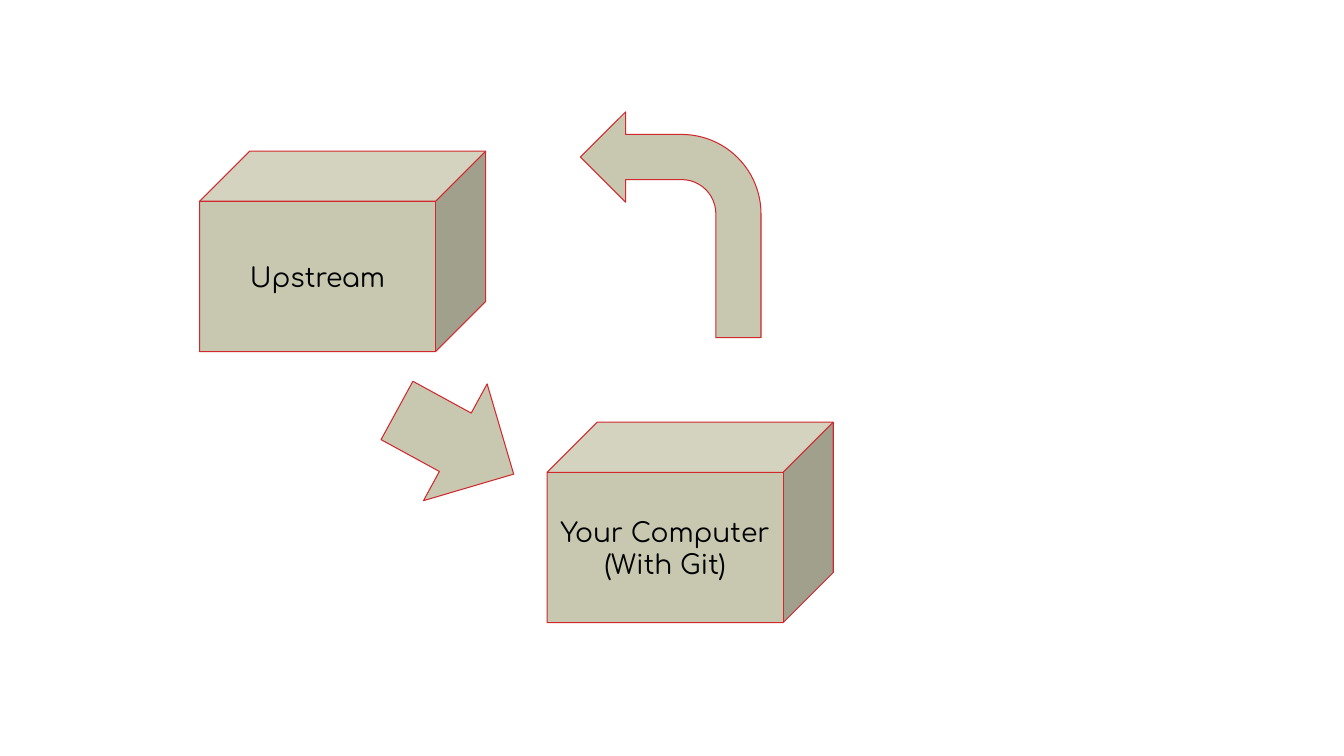
"""Build a slide showing the exchange between an upstream store and a local computer."""
from pptx import Presentation
from pptx.dml.color import RGBColor
from pptx.enum import shapes, text
from pptx.util import Cm, Pt

COLORS = {"fill": "C8C8B1", "line": "D1282E", "text": "000000"}
FONT = {"name": "Comfortaa", "size": Pt(19)}
FRAME = {
    "word_wrap": True,
    "vertical_anchor": text.MSO_ANCHOR.MIDDLE,
    **{f"margin_{side}": Cm(0.33) for side in ("left", "top", "right", "bottom")},
}
CUBE_SIZE = (7.21, 5.05)
CUBES = [
    ((5.03, 3.81), ["Upstream"]),
    ((13.79, 10.64), ["Your Computer", "(With Git)"]),
]
ARROWS = [
    {"kind": shapes.MSO_SHAPE.RIGHT_ARROW, "box": (9.8, 9.47, 3.35, 3.35),
     "adj": (0.5, 0.5), "rotation": 28.6, "flip": False},
    {"kind": shapes.MSO_SHAPE.BENT_ARROW, "box": (14.63, 2.82, 4.55, 5.69),
     "adj": (0.25, 0.25, 0.25, 0.44), "rotation": 0, "flip": True},
]


def color(key):
    return RGBColor.from_string(COLORS[key])


def set_all(obj, values):
    for name, value in values.items():
        setattr(obj, name, value)


def add_shape(s, kind, box, adj):
    sp = s.shapes.add_shape(kind, *map(Cm, box))
    sp.shadow.inherit = False
    sp.fill.solid()
    sp.fill.fore_color.rgb = color("fill")
    sp.line.color.rgb = color("line")
    sp.line.width = Pt(0.75)
    for i, value in enumerate(adj):
        sp.adjustments[i] = value
    return sp


def write_lines(sp, lines):
    tf = sp.text_frame
    set_all(tf, FRAME)
    for i, line in enumerate(lines):
        p = tf.add_paragraph() if i else tf.paragraphs[0]
        p.alignment = text.PP_ALIGN.CENTER
        r = p.add_run()
        r.text = line
        set_all(r.font, FONT)
        r.font.color.rgb = color("text")


def main():
    prs = Presentation()
    prs.slide_width, prs.slide_height = Cm(33.87), Cm(19.05)
    s = prs.slides.add_slide(prs.slide_layouts[6])
    for corner, lines in CUBES:
        sp = add_shape(s, shapes.MSO_SHAPE.CUBE, corner + CUBE_SIZE, (0.25,))
        write_lines(sp, lines)
    for arrow in ARROWS:
        sp = add_shape(s, arrow["kind"], arrow["box"], arrow["adj"])
        sp.rotation = arrow["rotation"]
        if arrow["flip"]:
            sp.element.spPr.get_or_add_xfrm().set("flipH", "1")
    prs.save("out.pptx")


if __name__ == "__main__":
    main()
